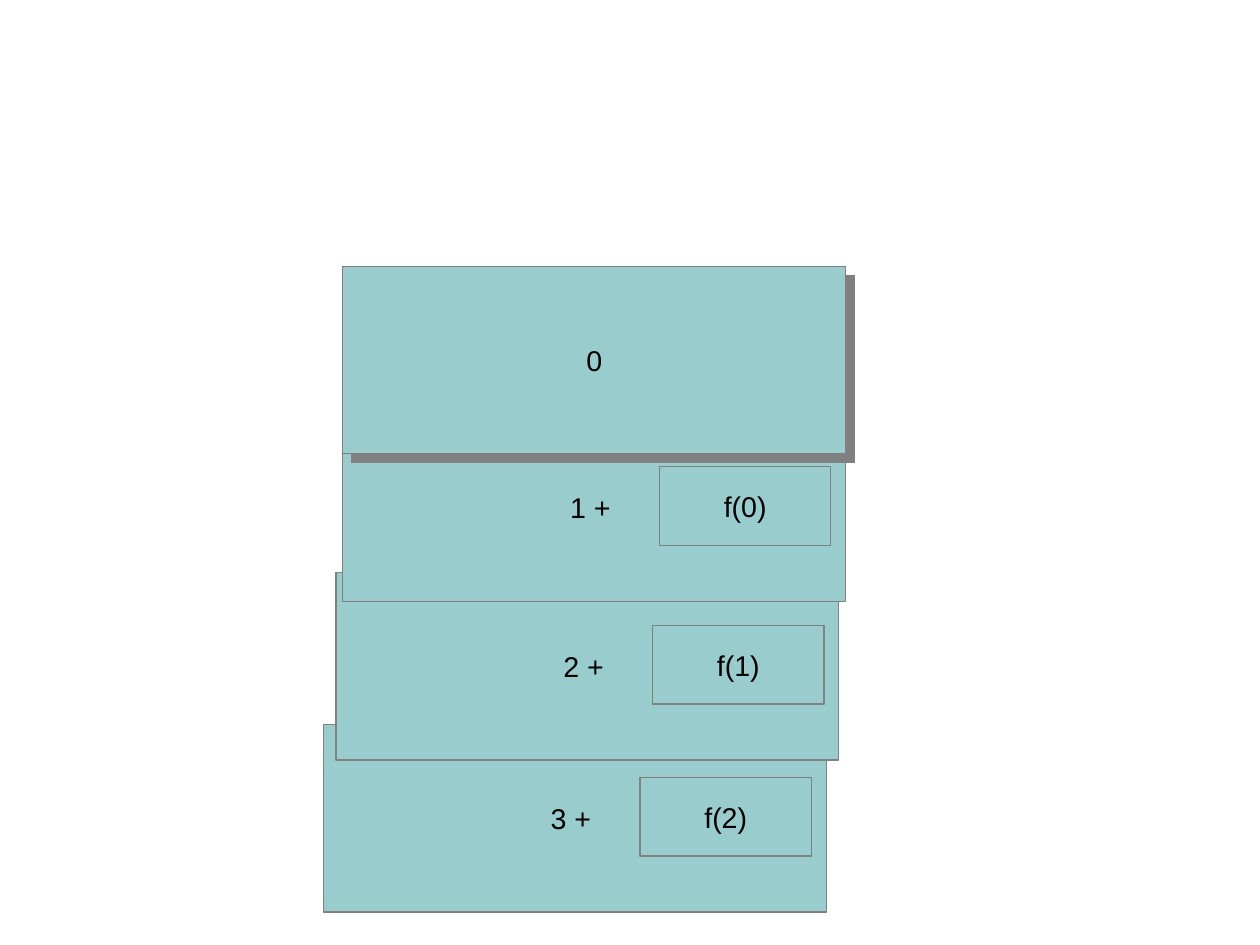
from lxml import etree
from pptx import Presentation
from pptx.dml.color import RGBColor
from pptx.enum.shapes import MSO_SHAPE
from pptx.enum.text import MSO_ANCHOR, PP_ALIGN
from pptx.oxml.ns import qn
from pptx.util import Inches, Pt

CM_PER_INCH = 2.54
SLIDE_SIZE = (28 / CM_PER_INCH, 21 / CM_PER_INCH)

COLORS = {"frame": "99CCCC", "edge": "808080", "shadow": "808080", "text": "000000"}
FONT = {"name": "Arial", "size": Pt(18)}
FRAME_SIZE = (4.4, 1.64)
CALL_OFFSET = (2.77, 0.46)
CALL_SIZE = (1.5, 0.69)

# Left, top, own term and pending call of each stack frame, oldest first.
STACK = [
    (2.83, 6.34, "3 + ", "f(2)"),
    (2.94, 5.01, "2 + ", "f(1)"),
    (3, 3.62, "1 + ", "f(0)"),
    (3, 2.33, "0", None),
]


def color(key):
    return RGBColor.from_string(COLORS[key])


def add_box(shapes, left, top, size, label):
    box = shapes.add_shape(MSO_SHAPE.RECTANGLE, *map(Inches, (left, top, *size)))
    box.shadow.inherit = False
    box.fill.solid()
    box.fill.fore_color.rgb = color("frame")
    box.line.color.rgb = color("edge")
    box.line.width = Pt(0)

    box.text_frame.word_wrap = False
    box.text_frame.vertical_anchor = MSO_ANCHOR.MIDDLE
    paragraph = box.text_frame.paragraphs[0]
    paragraph.alignment = PP_ALIGN.CENTER
    term = paragraph.add_run()
    term.text = label
    for attribute, value in FONT.items():
        setattr(term.font, attribute, value)
    term.font.color.rgb = color("text")
    return box


def add_hard_shadow(box):
    """Cast an unblurred shadow to the lower right."""
    effects = box._element.spPr.find(qn("a:effectLst"))
    shadow = etree.SubElement(effects, qn("a:outerShdw"), blurRad="0",
                              dist=str(Pt(8)), dir=str(45 * 60000),
                              algn="tl", rotWithShape="0")
    etree.SubElement(shadow, qn("a:srgbClr"), val=COLORS["shadow"])


def add_stack_frame(slide, left, top, term, call):
    """Draw one invocation, with the call it waits for if there is one."""
    shapes = slide.shapes.add_group_shape().shapes
    frame = add_box(shapes, left, top, FRAME_SIZE, term)
    if call:
        dx, dy = CALL_OFFSET
        add_box(shapes, left + dx, top + dy, CALL_SIZE, call)
    else:
        add_hard_shadow(frame)


def main():
    presentation = Presentation()
    presentation.slide_width, presentation.slide_height = map(Inches, SLIDE_SIZE)
    slide = presentation.slides.add_slide(presentation.slide_layouts[6])
    for stack_frame in STACK:
        add_stack_frame(slide, *stack_frame)
    presentation.save("out.pptx")


if __name__ == "__main__":
    main()
